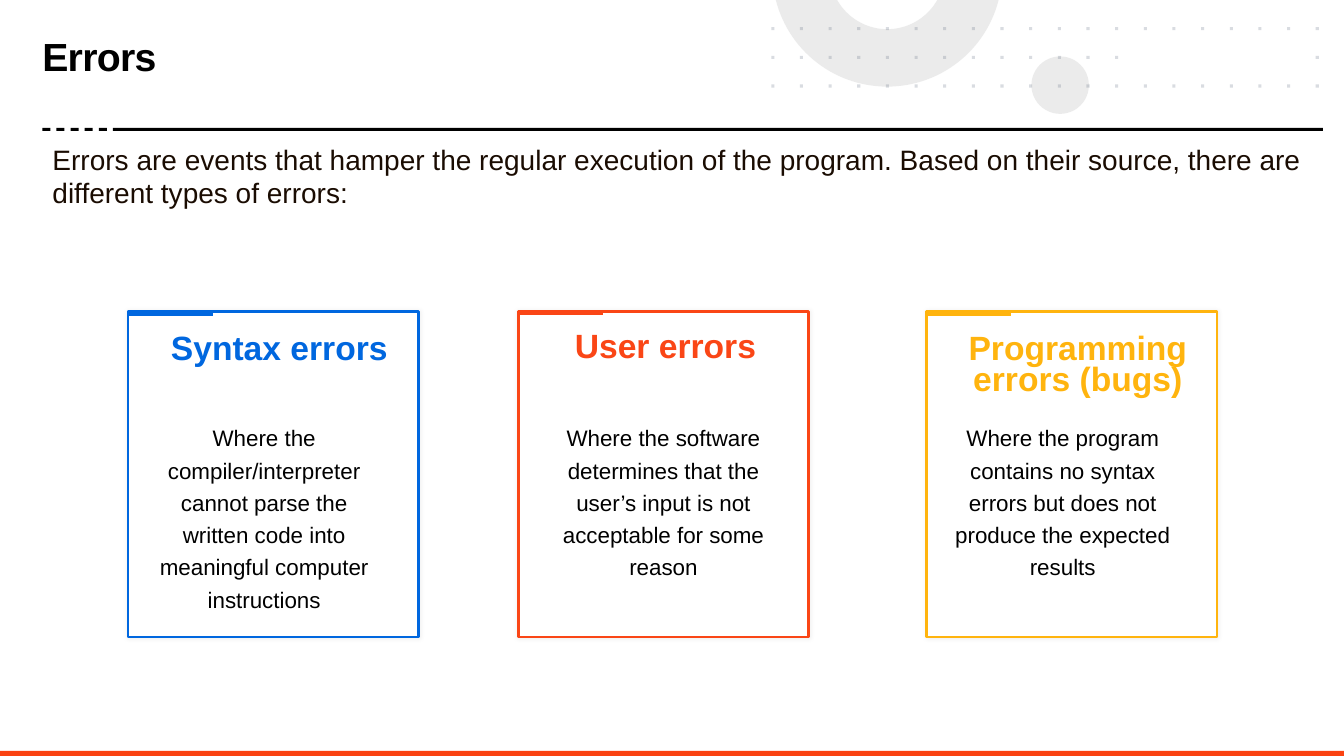
"""Build a slide that explains three types of program errors."""
from math import asin, cos, pi, sin

from lxml import etree
from pptx import Presentation
from pptx.dml.color import RGBColor
from pptx.enum.shapes import MSO_CONNECTOR, MSO_SHAPE
from pptx.enum.text import MSO_ANCHOR, MSO_AUTO_SIZE, PP_ALIGN
from pptx.oxml.ns import qn
from pptx.util import Inches, Pt

RECTANGLE, OVAL = MSO_SHAPE.RECTANGLE, MSO_SHAPE.OVAL
STRAIGHT = MSO_CONNECTOR.STRAIGHT
TOP = MSO_ANCHOR.TOP
LEFT, CENTER = PP_ALIGN.LEFT, PP_ALIGN.CENTER
FIXED, GROW = MSO_AUTO_SIZE.NONE, MSO_AUTO_SIZE.SHAPE_TO_FIT_TEXT

COLORS = {
    "black": "000000", "white": "FFFFFF", "intro": "1A0C02", "footer": "FA4211",
    "gray": "D9D9D9", "dots": "44546A",
    "blue": "0067DF", "orange": "FA4616", "yellow": "FFB40E",
}
TITLE = "Errors"
INTRO = ("Errors are events that hamper the regular execution of the program. "
         "Based on their source, there are different types of errors:")
CARDS = [
    {"heading": "Syntax errors", "color": "blue", "left": 1.27,
     "heading_at": (1.44, 3.29), "text_left": 1.43, "accent_top": 3.11,
     "text": "Where the compiler/interpreter cannot parse the written code "
             "into meaningful computer instructions"},
    {"heading": "User errors", "color": "orange", "left": 5.14,
     "heading_at": (5.27, 3.27), "text_left": 5.39, "accent_top": 3.1,
     "text": "Where the software determines that the user’s input is not "
             "acceptable for some reason"},
    {"heading": "Programming errors (bugs)", "color": "yellow", "left": 9.19,
     "heading_at": (9.36, 3.29), "text_left": 9.35, "accent_top": 3.11,
     "text": "Where the program contains no syntax errors but does not "
             "produce the expected results"},
]
CARD_TOP, CARD_WIDTH, CARD_HEIGHT, ACCENT_WIDTH = 3.09, 2.88, 3.23, 0.84
DOT_LEFT, DOT_TOP, DOT_SIZE = 7.65, 0.27, 0.03
DOT_PITCH = 5.4 / 19
DOT_PATCHES = [
    (range(14, 20), [19]),
    (range(0, 6), range(0, 6)),
    (range(6, 12), range(6, 12)),
    (range(12, 14), [12]),
]
RING_X, RING_Y, RING_OUTER, RING_INNER, RING_STEPS = 8.8, -0.28, 1.14, 0.57, 60


def rgb(name):
    return RGBColor.from_string(COLORS[name])


def paint(shape, color, opacity=100):
    shape.shadow.inherit = False
    shape.fill.solid()
    shape.fill.fore_color.rgb = rgb(color)
    shape.line.fill.background()
    if opacity < 100:
        tint = shape.fill._xPr.find(qn("a:solidFill"))[0]
        etree.SubElement(tint, qn("a:alpha"), val=str(opacity * 1000))


def add_shape(page, kind, place, color, opacity=100):
    shape = page.shapes.add_shape(kind, *map(Inches, place))
    paint(shape, color, opacity)
    return shape


def write(box, place, text, color, font, para_format, frame_format):
    box.left, box.top, box.width, box.height = map(Inches, place)
    frame = box.text_frame
    frame.text = text
    para = frame.paragraphs[0]
    span = para.runs[0]
    for target, values in (
        (frame, {"word_wrap": True, "vertical_anchor": TOP,
                 "auto_size": FIXED, **frame_format}),
        (para, para_format),
        (span.font, {"name": "Arial", **font}),
    ):
        for name, value in values.items():
            setattr(target, name, value)
    span.font.color.rgb = rgb(color)
    return para


def add_outline(page, contours, color, opacity):
    builder = None
    for contour in contours:
        points = [(Inches(x), Inches(y)) for x, y in contour]
        if builder is None:
            builder = page.shapes.build_freeform(*points[0])
        else:
            builder.move_to(*points[0])
        builder.add_line_segments(points[1:], close=True)
    paint(builder.convert_to_shape(), color, opacity)


def arc(radius):
    start = asin(-RING_Y / radius)
    sweep = pi - 2 * start
    angles = [start + sweep * step / RING_STEPS for step in range(RING_STEPS + 1)]
    return [(RING_X + radius * cos(a), RING_Y + radius * sin(a)) for a in angles]


def dot(column, row):
    x, y = DOT_LEFT + column * DOT_PITCH, DOT_TOP + row * DOT_PITCH
    return [(x, y), (x + DOT_SIZE, y), (x + DOT_SIZE, y + DOT_SIZE), (x, y + DOT_SIZE)]


def add_decoration(page):
    add_shape(page, OVAL, (10.23, 0.56, 0.57, 0.57), "gray", 50)
    add_outline(page, [arc(RING_OUTER) + arc(RING_INNER)[::-1]], "gray", 50)
    for columns, middle in DOT_PATCHES:
        rows = (columns, middle, columns)
        dots = [dot(column, row) for row, cells in enumerate(rows) for column in cells]
        add_outline(page, dots, "dots", 20)
    add_shape(page, RECTANGLE, (1.12, 1.27, 12, 0.03), "black")
    add_shape(page, RECTANGLE, (0, 7.45, 13.33, 0.05), "footer")
    for index in range(5):
        add_shape(page, RECTANGLE, (0.42 + 0.14 * index, 1.27, 0.08, 0.03), "black")


def add_card(page, card):
    left, color = card["left"], card["color"]
    frame = add_shape(page, RECTANGLE, (left, CARD_TOP, CARD_WIDTH, CARD_HEIGHT), "white")
    frame.line.color.rgb = rgb(color)
    frame.line.width = Pt(2)
    effects = frame._element.spPr.find(qn("a:effectLst"))
    shadow = etree.SubElement(effects, qn("a:outerShdw"), blurRad=str(Pt(3)), dist="0")
    tint = etree.SubElement(shadow, qn("a:srgbClr"), val=COLORS["black"])
    etree.SubElement(tint, qn("a:alpha"), val="5000")

    accent_y = Inches(card["accent_top"])
    accent = page.shapes.add_connector(
        STRAIGHT, Inches(left), accent_y, Inches(left + ACCENT_WIDTH), accent_y)
    accent.line.color.rgb = rgb(color)
    accent.line.width = Pt(3)
    etree.SubElement(accent._element.spPr, qn("a:effectLst"))

    heading = write(
        page.shapes.add_textbox(0, 0, 0, 0), (*card["heading_at"], 2.54, 0.93),
        card["heading"], color, {"size": Pt(24), "bold": True},
        {"alignment": CENTER, "line_spacing": 0.75}, {})
    heading._p.get_or_add_pPr().set("marL", str(Inches(0.12)))
    write(page.shapes.add_textbox(0, 0, 0, 0), (card["text_left"], 4.11, 2.38, 2.01),
          card["text"], "black", {"size": Pt(16)},
          {"alignment": CENTER, "line_spacing": 1.2}, {})


def main():
    deck = Presentation()
    deck.slide_width, deck.slide_height = Inches(13.33), Inches(7.5)
    page = deck.slides.add_slide(deck.slide_layouts[1])
    add_decoration(page)

    insets = ("margin_left", "margin_top", "margin_right", "margin_bottom")
    title = write(page.shapes.title, (0.42, 0.39, 7.23, 0.75), TITLE, "black",
                  {"size": Pt(28), "bold": True},
                  {"alignment": LEFT, "line_spacing": 0.85}, dict.fromkeys(insets, 0))
    title.runs[0].font._element.set("spc", "-50")

    intro = write(page.placeholders[1], (0.42, 1.36, 12.67, 0.77), INTRO, "intro",
                  {"size": Pt(20)}, {"alignment": LEFT, "space_before": Pt(0)},
                  {"auto_size": GROW})
    settings = intro._p.get_or_add_pPr()
    settings.set("marL", "0")
    settings.set("indent", "0")
    etree.SubElement(settings, qn("a:buNone"))

    for card in CARDS:
        add_card(page, card)
    deck.save("out.pptx")


if __name__ == "__main__":
    main()
